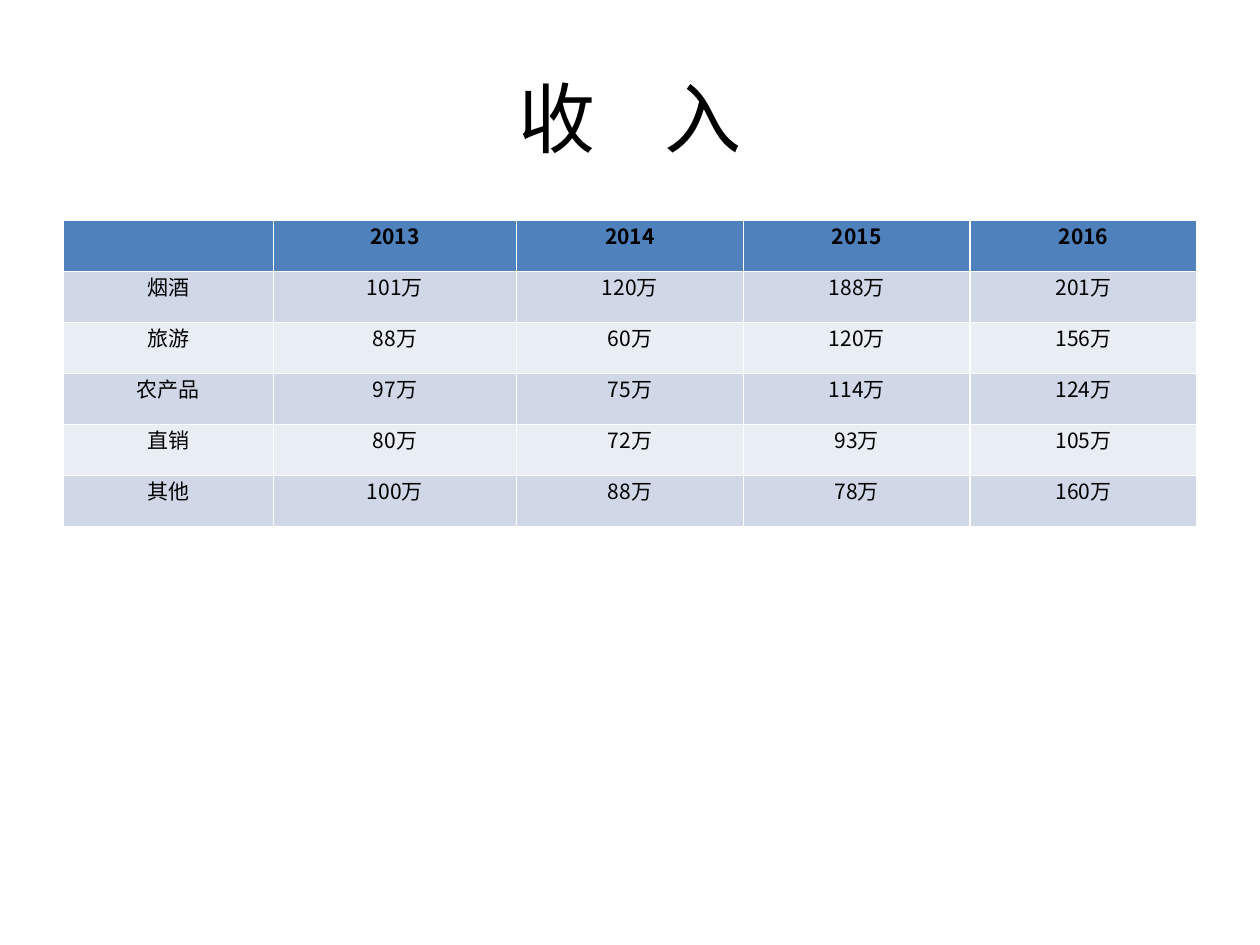
from pptx import Presentation
from pptx.dml.color import RGBColor
from pptx.enum.text import MSO_ANCHOR, PP_ALIGN
from pptx.util import Inches, Pt

CENTER = PP_ALIGN.CENTER
MIDDLE = MSO_ANCHOR.MIDDLE
COLORS = {"text": "000000", "header": "4F81BD", "odd": "D0D8E8", "even": "E9EDF4"}
MARGIN = 0.5
CONTENT_WIDTH = 9
ROW_HEIGHT = 0.405
COLUMN_WIDTHS = [1.67, 1.93, 1.8, 1.8, 1.8]

YEARS = ["2013", "2014", "2015", "2016"]
# Income in units of 万
INCOME = {
    "烟酒": [101, 120, 188, 201],
    "旅游": [88, 60, 120, 156],
    "农产品": [97, 75, 114, 124],
    "直销": [80, 72, 93, 105],
    "其他": [100, 88, 78, 160],
}

presentation = Presentation()
presentation.slide_width = Inches(10)
presentation.slide_height = Inches(7.5)
slide = presentation.slides.add_slide(presentation.slide_layouts[5])

# Title, its two characters spread by a widened space
title = slide.shapes.title
title.left, title.top = Inches(MARGIN), Inches(0.3)
title.width, title.height = Inches(CONTENT_WIDTH), Inches(1.25)
title.text_frame.vertical_anchor = MIDDLE
paragraph = title.text_frame.paragraphs[0]
for text in ("收", " ", "入"):
    run = paragraph.add_run()
    run.text = text
    if text == " ":
        run.font._element.set("spc", "3000")
paragraph.alignment = CENTER
paragraph.font.size = Pt(44)
paragraph.font.name = "Calibri"
paragraph.font.color.rgb = RGBColor.from_string(COLORS["text"])

# Income table; white borders come from the default table style
rows = [[""] + YEARS]
rows += [[name] + [f"{value}万" for value in values] for name, values in INCOME.items()]
table = slide.shapes.add_table(
    len(rows), len(COLUMN_WIDTHS), Inches(MARGIN), Inches(1.75),
    Inches(CONTENT_WIDTH), Inches(ROW_HEIGHT * len(rows)),
).table
for column, width in zip(table.columns, COLUMN_WIDTHS):
    column.width = Inches(width)

for row_index, texts in enumerate(rows):
    table.rows[row_index].height = Inches(ROW_HEIGHT)
    is_header = row_index == 0
    band = "header" if is_header else "odd" if row_index % 2 else "even"
    for column_index, text in enumerate(texts):
        cell = table.cell(row_index, column_index)
        cell.fill.solid()
        cell.fill.fore_color.rgb = RGBColor.from_string(COLORS[band])
        cell.margin_left = cell.margin_right = Inches(0.07)
        cell.margin_top = cell.margin_bottom = 0
        cell.text = text
        paragraph = cell.text_frame.paragraphs[0]
        paragraph.alignment = CENTER
        paragraph.space_before = Pt(4.3) if text else None
        paragraph.font.size = Pt(12)
        paragraph.font.name = "Noto Sans CJK SC"
        paragraph.font.bold = is_header
        paragraph.font.color.rgb = RGBColor.from_string(COLORS["text"])

presentation.save("out.pptx")
